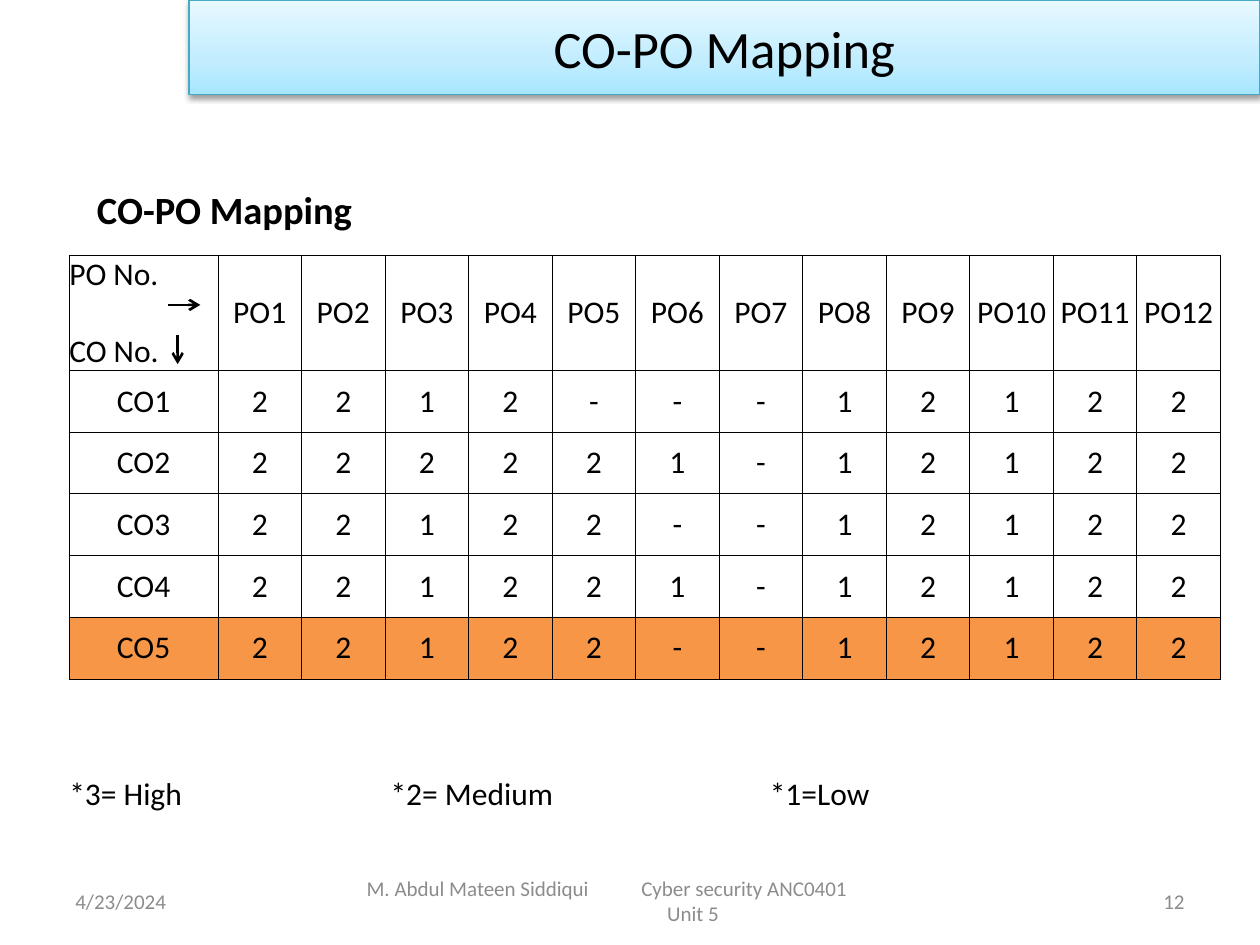
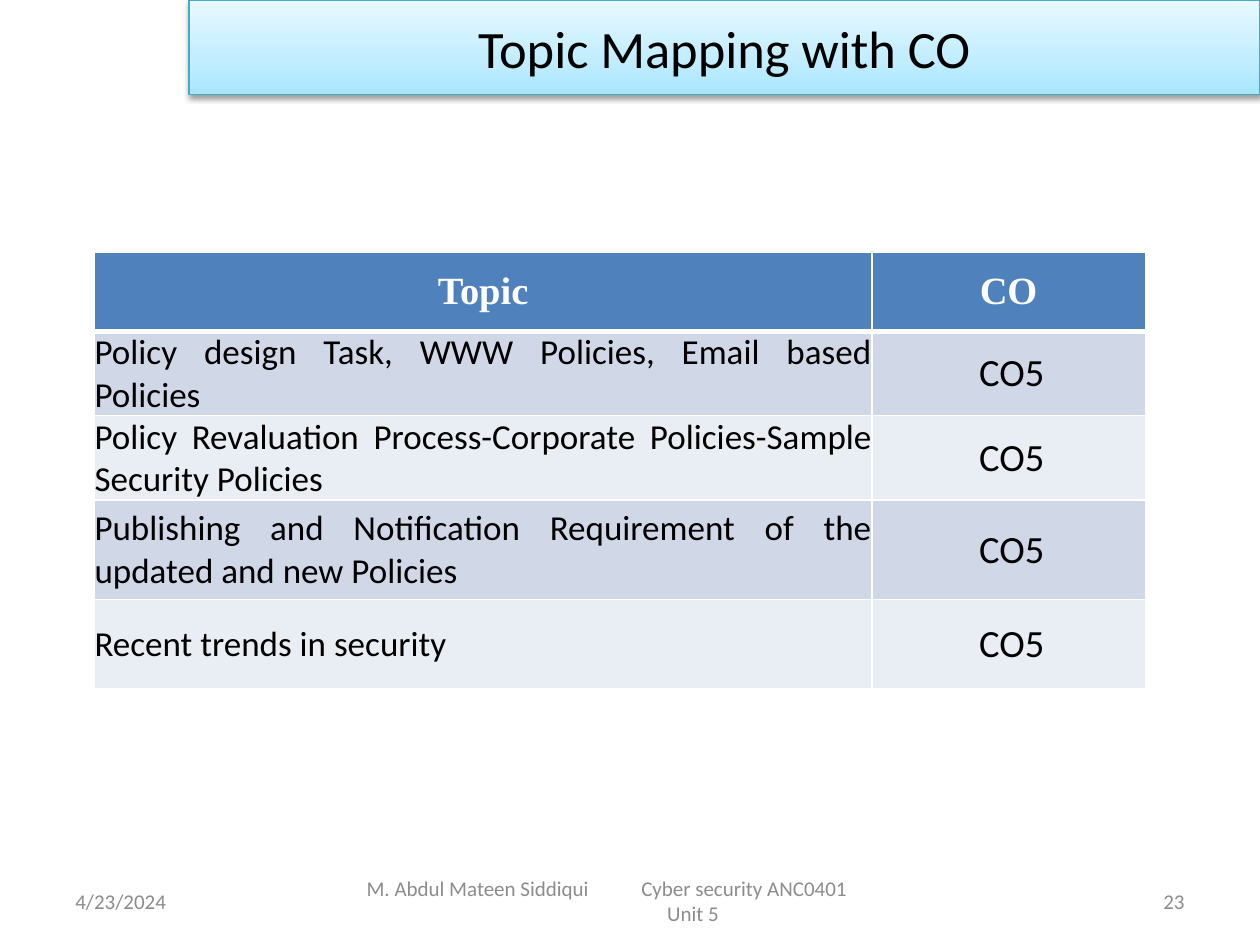
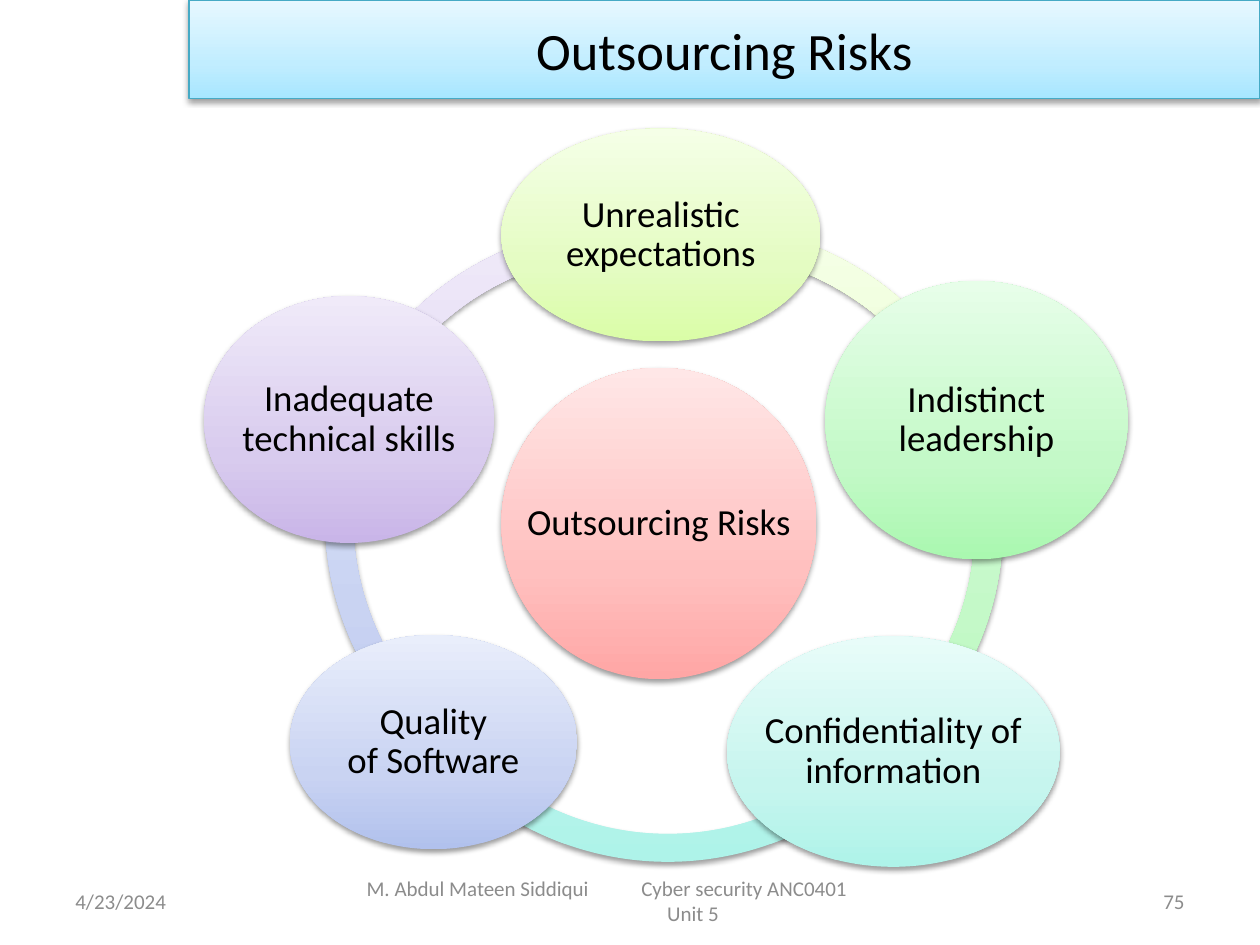
from copy import deepcopy

from lxml import etree
from pptx import Presentation
from pptx.dml.color import RGBColor
from pptx.enum.shapes import MSO_CONNECTOR, MSO_SHAPE
from pptx.enum.text import MSO_ANCHOR as Anchor, PP_ALIGN as Align
from pptx.oxml import parse_xml
from pptx.oxml.ns import nsdecls, qn
from pptx.util import Inches, Pt

BLACK, WHITE, GREY = "000000", "FFFFFF", "8C8C8C"
ORANGE, HEADER_BLUE, BAND_DARK, BAND_LIGHT = "F79646", "4F81BD", "D0D8E8", "E9EDF4"
TITLE_LINE = "46AAC5"
SKY = ("A7E6FF", "C1EDFF", "E7F8FF")
ROSE = ("FFA6A5", "FFC0BF", "FFE7E7")
LIME = ("DAFDA7", "E4FCC2", "F5FFE7")
GREEN = ("AAF8B0", "C4F9C8", "E7FEE9")
TEAL = ("AEF3E9", "C6F5EE", "E8FCF9")
BLUE = ("B1C1ED", "C9D3F2", "E9EEFB")
PURPLE = ("C9B5E8", "D8CBEE", "F0EAF9")


def style(text_frame, size, color=BLACK, align=Align.CENTER, font="Calibri", bold=False):
    """Format every run of a text frame that already holds its text."""
    for paragraph in text_frame.paragraphs:
        paragraph.alignment = align
        for run in paragraph.runs:
            run.font.size = Pt(size)
            run.font.name = font
            run.font.bold = bold
            run.font.color.rgb = RGBColor.from_string(color)


def add_glossy_shape(slide, kind, box, shades):
    """Add a preset shape with a bottom-to-top gradient and a soft shadow."""
    shape = slide.shapes.add_shape(kind, *map(Inches, box))
    shape.line.fill.background()
    shape.fill.gradient()
    shape.fill.gradient_angle = 90
    stop_list = shape._element.spPr.find(".//" + qn("a:gsLst"))
    stop_list.append(deepcopy(stop_list[0]))
    for stop, position, shade in zip(shape.fill.gradient_stops, (0, 0.35, 1), shades):
        stop.position = position
        stop.color.rgb = RGBColor.from_string(shade)
    shape.shadow.inherit = False
    shape._element.spPr.find(qn("a:effectLst")).append(parse_xml(
        f'<a:outerShdw {nsdecls("a")} blurRad="40000" dist="20000" dir="5400000" rotWithShape="0">'
        f'<a:srgbClr val="{BLACK}"><a:alpha val="38000"/></a:srgbClr></a:outerShdw>'))
    return shape


presentation = Presentation()
presentation.slide_width, presentation.slide_height = Inches(10), Inches(7.5)

# Title band and footer of every slide
slides = []
for title, number, band_height in (("CO-PO Mapping", "12", 0.75),
                                   ("Topic Mapping with CO", "23", 0.75),
                                   ("Outsourcing Risks", "75", 0.78)):
    slide = presentation.slides.add_slide(presentation.slide_layouts[6])
    slides.append(slide)
    for text, left, width, align in (
            ("4/23/2024", 0.5, 2.33, Align.LEFT),
            ("M. Abdul Mateen Siddiqui\tCyber security ANC0401\nUnit 5", 2.75, 5.5, Align.LEFT),
            (number, 7.17, 2.33, Align.RIGHT)):
        footer = slide.shapes.add_textbox(Inches(left), Inches(6.95), Inches(width), Inches(0.4)).text_frame
        footer.word_wrap = True
        footer.vertical_anchor = Anchor.MIDDLE
        footer.text = text
        style(footer, 12, GREY, align)
        if "\t" in text:
            footer.margin_left = footer.margin_right = Inches(0.16)
            tabs = etree.SubElement(footer.paragraphs[0]._p.get_or_add_pPr(), qn("a:tabLst"))
            etree.SubElement(tabs, qn("a:tab"), pos=str(Inches(2.18)), algn="l")
            footer.paragraphs[1].alignment = Align.CENTER
    band = add_glossy_shape(slide, MSO_SHAPE.RECTANGLE, (1.5, 0, 8.5, band_height), SKY)
    band.line.color.rgb = RGBColor.from_string(TITLE_LINE)
    band.line.width = Pt(0.75)
    band.text_frame.text = title
    band.text_frame.vertical_anchor = Anchor.MIDDLE
    style(band.text_frame, 30)
mapping_slide, topic_slide, risk_slide = slides

# Both tables: text, borders and row fills
mapping_rows = [["PO No.\nCO No."] + [f"PO{n}" for n in range(1, 13)]]
for n, levels in enumerate(("2212---12122", "222221-12122", "22122--12122",
                            "221221-12122", "22122--12122"), 1):
    mapping_rows.append([f"CO{n}", *levels])
topic_rows = [["Topic", "CO"]] + [[topic, "CO5"] for topic in (
    "Policy design Task, WWW Policies, Email based Policies",
    "Policy Revaluation Process-Corporate Policies-Sample Security Policies",
    "Publishing and Notification Requirement of the updated and new Policies",
    "Recent trends in security")]

tables = []
for slide, left, top, widths, heights, rows, border, rule, header_rule, fills in (
        (mapping_slide, 0.55, 2.03, [1.18] + [7.96 / 12] * 12, [0.91] + [0.49] * 5, mapping_rows,
         BLACK, 0.5, 0.5, (None, WHITE, None, WHITE, None, ORANGE)),
        (topic_slide, 0.75, 2, [6.17, 2.17], [0.63, 0.67, 0.67, 0.79, 0.71], topic_rows,
         WHITE, 1, 3, (HEADER_BLUE, BAND_DARK, BAND_LIGHT, BAND_DARK, BAND_LIGHT))):
    table = slide.shapes.add_table(len(rows), len(widths), Inches(left), Inches(top),
                                   Inches(sum(widths)), Inches(sum(heights))).table
    tables.append(table)
    table.first_row = table.horz_banding = False
    for column, width in zip(table.columns, widths):
        column.width = Inches(width)
    for r, (row, height, texts, fill) in enumerate(zip(table.rows, heights, rows, fills)):
        row.height = Inches(height)
        for cell, text in zip(row.cells, texts):
            cell.text = text
            cell.vertical_anchor = Anchor.MIDDLE
            cell.margin_left = cell.margin_right = cell.margin_top = cell.margin_bottom = 0
            style(cell.text_frame, 18)
            for side in "LRTB":
                points = header_rule if (r, side) in ((0, "B"), (1, "T")) else rule
                cell._tc.get_or_add_tcPr().append(parse_xml(
                    f'<a:ln{side} {nsdecls("a")} w="{Pt(points)}"><a:solidFill>'
                    f'<a:srgbClr val="{border}"/></a:solidFill></a:ln{side}>'))
            if fill:
                cell.fill.solid()
                cell.fill.fore_color.rgb = RGBColor.from_string(fill)
            else:
                cell.fill.background()
mapping_table, topic_table = tables

# Slide 1: corner cell, its arrows, heading and legend
corner = mapping_table.cell(0, 0).text_frame
style(corner, 18, align=Align.LEFT)
corner.paragraphs[1].space_before = Pt(22)

for ends in ((1.33, 2.42, 1.59, 2.42), (1.41, 2.66, 1.41, 2.89)):
    arrow = mapping_slide.shapes.add_connector(MSO_CONNECTOR.STRAIGHT, *map(Inches, ends))
    arrow.line.color.rgb = RGBColor.from_string(BLACK)
    arrow.line.width = Pt(1.5)
    etree.SubElement(arrow.line._get_or_add_ln(), qn("a:tailEnd"), type="arrow")
    etree.SubElement(arrow._element.spPr, qn("a:effectLst"))

heading = mapping_slide.shapes.add_textbox(Inches(0.47), Inches(1.41), Inches(4.14), Inches(0.72)).text_frame
heading.word_wrap = True
heading.margin_left, heading.margin_top = Inches(0.3), Inches(0.07)
heading.text = "CO-PO Mapping"
style(heading, 22, align=Align.LEFT, bold=True)

legend = mapping_slide.shapes.add_textbox(0, Inches(6.09), Inches(9.77), Inches(0.4)).text_frame
legend.word_wrap = True
legend.vertical_anchor = Anchor.MIDDLE
legend.margin_left = Inches(0.55)
legend.text = "*3= High\t*2= Medium\t*1=Low"
legend_tabs = etree.SubElement(legend.paragraphs[0]._p.get_or_add_pPr(), qn("a:tabLst"))
for position in (2.55, 5.56):
    etree.SubElement(legend_tabs, qn("a:tab"), pos=str(Inches(position)), algn="l")
style(legend, 18, align=Align.LEFT)

# Slide 2: header row and the two columns of topics
for r, row in enumerate(topic_table.rows):
    topic_cell, outcome_cell = row.cells
    if r == 0:
        for cell in row.cells:
            style(cell.text_frame, 22, WHITE, font="Times New Roman", bold=True)
    else:
        style(topic_cell.text_frame, 20, align=Align.JUSTIFY)
        style(outcome_cell.text_frame, 22)
        outcome_cell.margin_left = Inches(0.05)

# Slide 3: ring of risks, each with its ellipse and the arc that leaves it (degrees)
risks = (
    ("Unrealistic\vexpectations", (3.98, 1.02, 2.53, 1.69), LIME, (3.15, 1.78), (262.35, 338.46)),
    ("Indistinct\vleadership", (6.55, 2.23, 2.4, 2.21), GREEN, (3.14, 1.76), (339.07, 49.53)),
    ("Confidentiality of\vinformation", (5.77, 5.05, 2.64, 1.83), TEAL, (2.89, 2.02), (40.63, 141.86)),
    ("Quality\vof Software", (2.3, 5.04, 2.28, 1.7), BLUE, (2.58, 1.7), (131.04, 199.28)),
    ("Inadequate\vtechnical skills", (1.62, 2.35, 2.3, 1.96), PURPLE, (2.55, 1.79), (201.61, 277.18)),
)
RING_SIZE, RING_THICKNESS = 4.82, 0.046
DEGREE = 0.6  # one degree in units of a shape adjustment

for _, _, shades, corner_point, (start, end) in reversed(risks):
    arc = add_glossy_shape(risk_slide, MSO_SHAPE.BLOCK_ARC, (*corner_point, RING_SIZE, RING_SIZE), shades)
    for index, value in enumerate((start * DEGREE, end * DEGREE, RING_THICKNESS)):
        arc.adjustments[index] = value

hub = ("Outsourcing Risks", (3.98, 2.92, 2.5, 2.47), ROSE)
for text, box, shades in (hub, *(risk[:3] for risk in risks)):
    ellipse = add_glossy_shape(risk_slide, MSO_SHAPE.OVAL, box, shades)
    label = ellipse.text_frame
    label.word_wrap = False
    label.vertical_anchor = Anchor.MIDDLE
    label.margin_left = label.margin_right = label.margin_top = label.margin_bottom = Inches(0.03)
    label.text = text
    # A vertical tab stays inside one paragraph only through paragraph.text
    label.paragraphs[0].text = text
    label.paragraphs[0].line_spacing = 0.9
    style(label, 21)

presentation.save("out.pptx")
